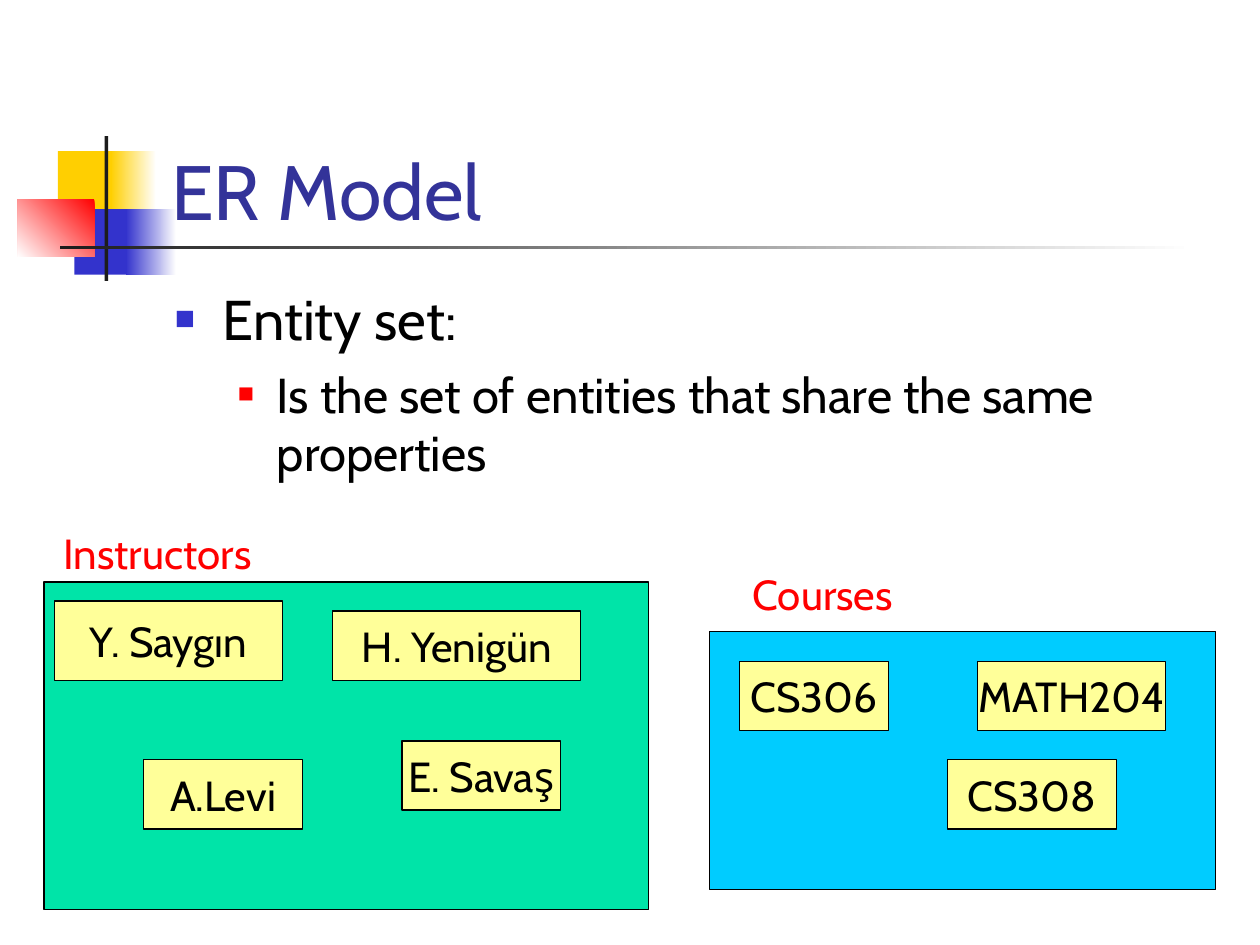
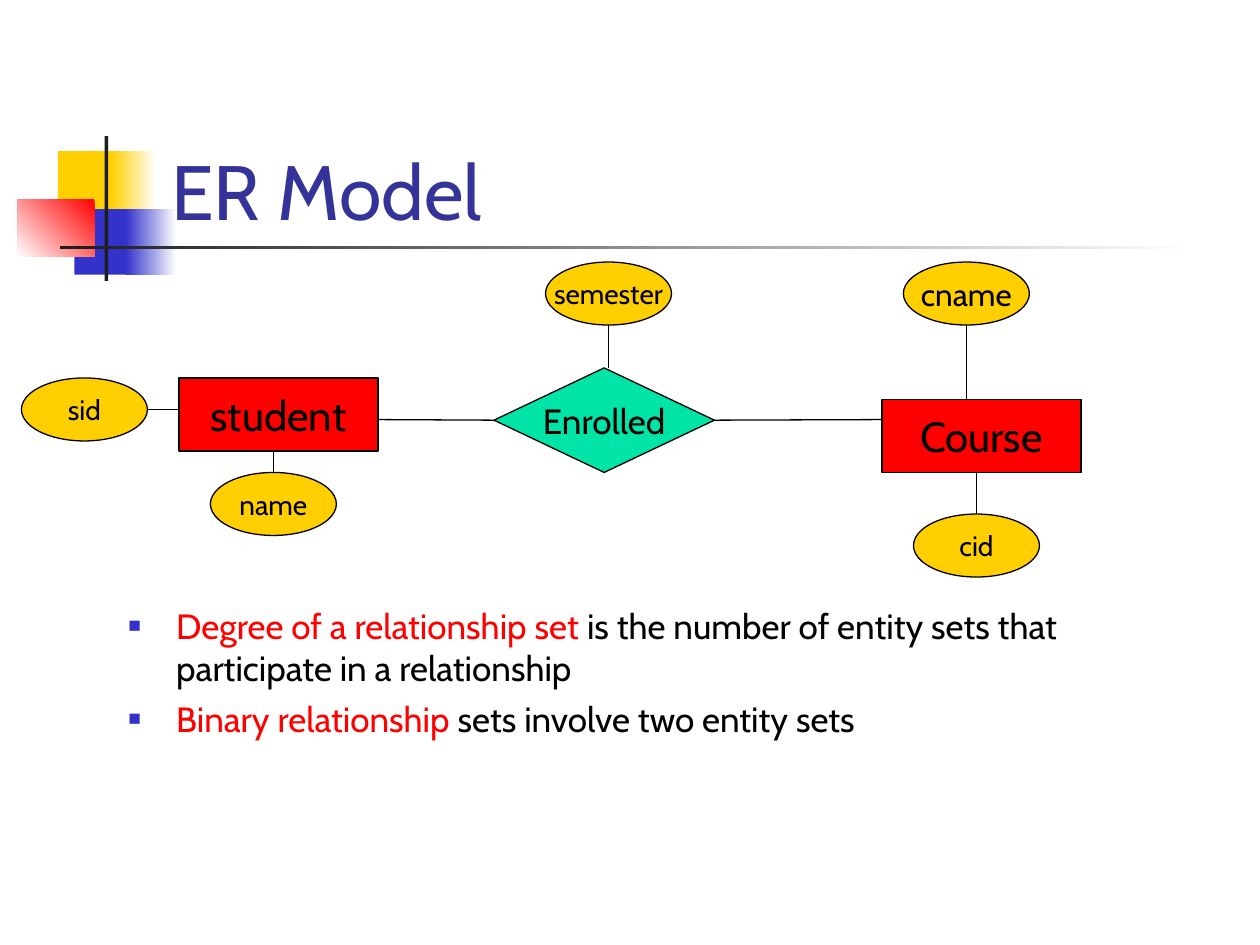
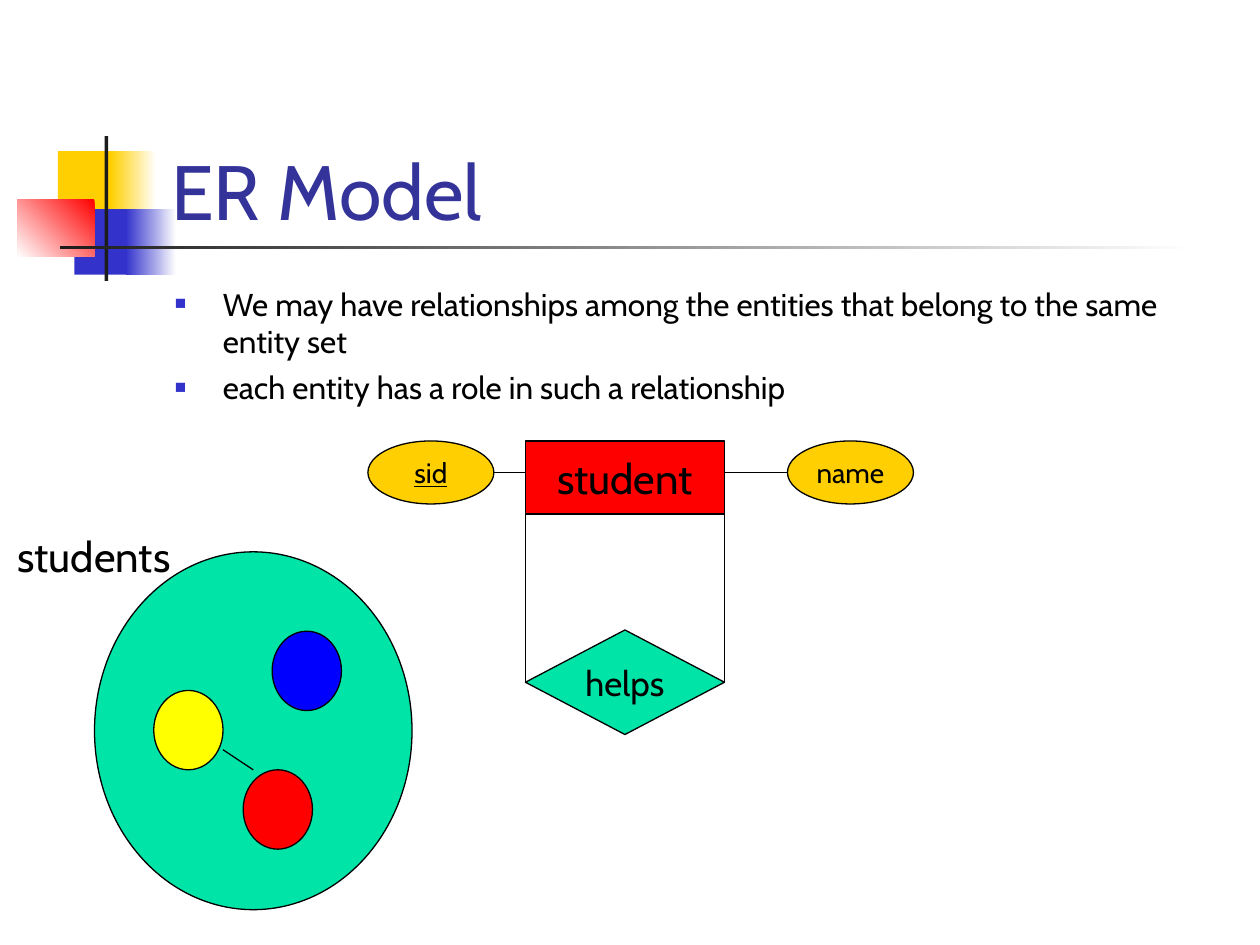
from lxml.etree import SubElement
from pptx import Presentation
from pptx.dml.color import RGBColor
from pptx.enum.shapes import MSO_CONNECTOR, MSO_SHAPE
from pptx.enum.text import MSO_ANCHOR, MSO_AUTO_SIZE, PP_ALIGN
from pptx.oxml.ns import qn
from pptx.util import Inches, Pt

BLACK = RGBColor(0x00, 0x00, 0x00)
WHITE = RGBColor(0xFF, 0xFF, 0xFF)
CHARCOAL = RGBColor(0x1C, 0x1C, 0x1C)
TITLE_BLUE = RGBColor(0x33, 0x33, 0x99)
BULLET_BLUE = RGBColor(0x33, 0x33, 0xCC)
RED = RGBColor(0xFF, 0x00, 0x00)
GOLD = RGBColor(0xFF, 0xCF, 0x01)
GREEN = RGBColor(0x00, 0xE4, 0xA8)
SKY = RGBColor(0x00, 0xCC, 0xFF)
CREAM = RGBColor(0xFF, 0xFF, 0x99)
YELLOW = RGBColor(0xFF, 0xFF, 0x00)
BLUE = RGBColor(0x00, 0x00, 0xFF)

FONT = "Cabin"
LINE_WIDTH = Pt(0.75)
TITLE_BOX = (1.26, 0.67, 8.52, 1.25)
ENTITY_SIZE = (1.58, 0.58)
ATTRIBUTE_SIZE = (1, 0.5)
STUDENT_SIZE = (0.55, 0.63)
# Per bullet level: left margin, hanging indent, bullet size in percent, bullet colour
BULLET_LEVELS = [(0.38, 0.38, 60, BULLET_BLUE), (0.81, 0.31, 55, RED)]


def inches(values):
    return [Inches(value) for value in values]


def write(paragraph, text, size, color=BLACK, underline=None):
    run = paragraph.add_run()
    run.text = text
    run.font.name = FONT
    run.font.size = Pt(size)
    run.font.color.rgb = color
    run.font.underline = underline


def add_node(slide, kind, box, fill, text="", size=24, underline=None):
    """Outlined shape with optional centred, unwrapped text."""
    node = slide.shapes.add_shape(kind, *inches(box))
    node.shadow.inherit = False
    node.fill.solid()
    node.fill.fore_color.rgb = fill
    node.line.color.rgb = BLACK
    node.line.width = LINE_WIDTH
    if text:
        frame = node.text_frame
        frame.word_wrap = False
        frame.vertical_anchor = MSO_ANCHOR.MIDDLE
        frame.paragraphs[0].alignment = PP_ALIGN.CENTER
        write(frame.paragraphs[0], text, size, underline=underline)
    return node


def add_label(slide, box, text, color=BLACK, align=PP_ALIGN.CENTER):
    frame = slide.shapes.add_textbox(*inches(box)).text_frame
    frame.word_wrap = False
    frame.paragraphs[0].alignment = align
    write(frame.paragraphs[0], text, 24, color)


def add_line(slide, start, end):
    line = slide.shapes.add_connector(MSO_CONNECTOR.STRAIGHT, *inches((*start, *end)))
    line.line.color.rgb = BLACK
    line.line.width = LINE_WIDTH
    SubElement(line._element.spPr, qn("a:effectLst"))
    return line


def set_bullet(paragraph, level):
    margin, hanging, percent, color = BULLET_LEVELS[level]
    properties = paragraph._p.get_or_add_pPr()
    properties.set("marL", str(Inches(margin)))
    properties.set("indent", str(-Inches(hanging)))
    bullet_color = SubElement(properties, qn("a:buClr"))
    SubElement(bullet_color, qn("a:srgbClr"), val=str(color))
    SubElement(properties, qn("a:buSzPct"), val=str(percent * 1000))
    SubElement(properties, qn("a:buFont"), typeface="Arial")
    SubElement(properties, qn("a:buChar"), char="■")


def add_bullets(slide, box, items):
    """Each item is (level, size, [(text, colour), ...])."""
    frame = slide.shapes.add_textbox(*inches(box)).text_frame
    frame.word_wrap = True
    for index, (level, size, parts) in enumerate(items):
        paragraph = frame.add_paragraph() if index else frame.paragraphs[0]
        set_bullet(paragraph, level)
        paragraph.level = level
        if index:
            paragraph.space_before = Pt(size / 4)
        for text, color in parts:
            write(paragraph, text, size, color)


def decorate_layout(layout, slide):
    """Draw the title ornament through a slide, then move it to the layout."""
    for placeholder in list(layout.placeholders):
        if placeholder.placeholder_format.idx:
            placeholder._element.getparent().remove(placeholder._element)
    ornament = [
        ((0.46, 1.2, 0.48, 0.52), [GOLD], 0),
        ((0.88, 1.2, 0.36, 0.52), [WHITE, GOLD], 180),
        ((0.59, 1.66, 0.46, 0.52), [BULLET_BLUE], 0),
        ((1, 1.66, 0.4, 0.52), [WHITE, BULLET_BLUE], 180),
        ((0.14, 1.58, 0.61, 0.46), [RED, WHITE], 225),
        ((0.83, 1.08, 0.03, 1.15), [CHARCOAL], 0),
        ((0.48, 1.95, 9, 0.03), [WHITE, CHARCOAL], 180),
    ]
    for position, (box, colors, angle) in enumerate(ornament):
        block = slide.shapes.add_shape(MSO_SHAPE.RECTANGLE, *inches(box))
        block.shadow.inherit = False
        block.line.fill.background()
        if len(colors) == 1:
            block.fill.solid()
            block.fill.fore_color.rgb = colors[0]
        else:
            block.fill.gradient()
            block.fill.gradient_angle = angle
            for stop, color in zip(block.fill.gradient_stops, colors):
                stop.color.rgb = color
        block._element.nvSpPr.cNvPr.set("id", str(100 + position))
        layout.shapes._spTree.insert(2 + position, block._element)


def add_title(slide, text):
    title = slide.shapes.title
    title.left, title.top, title.width, title.height = inches(TITLE_BOX)
    frame = title.text_frame
    frame.auto_size = MSO_AUTO_SIZE.NONE
    frame.vertical_anchor = MSO_ANCHOR.BOTTOM
    frame.paragraphs[0].alignment = PP_ALIGN.LEFT
    write(frame.paragraphs[0], text, 44, TITLE_BLUE)


def add_entity_set(slide, box, fill, name, name_box, members):
    """Name and members are placed from the top left of the set."""
    left, top = box[:2]
    add_node(slide, MSO_SHAPE.RECTANGLE, box, fill)
    x, y, width, height = name_box
    add_label(slide, (left + x, top + y, width, height), name, RED)
    for text, x, y, width, height in members:
        add_node(slide, MSO_SHAPE.RECTANGLE, (left + x, top + y, width, height), CREAM, text)


def add_entity(slide, left, top, text):
    add_node(slide, MSO_SHAPE.RECTANGLE, (left, top, *ENTITY_SIZE), RED, text)


def add_attribute(slide, left, top, text, direction, reach, size=16, underline=None):
    """Ellipse with a line of length reach leaving it in the (dx, dy) direction."""
    width, height = ATTRIBUTE_SIZE
    add_node(slide, MSO_SHAPE.OVAL, (left, top, width, height), GOLD, text, size, underline)
    dx, dy = direction
    x = left + width * (1 + dx) / 2
    y = top + height * (1 + dy) / 2
    add_line(slide, (x, y), (x + dx * reach, y + dy * reach))


def add_relationship(slide, box, text, left_end, right_end):
    """Diamond whose left and right corners are joined to the given points."""
    diamond = add_node(slide, MSO_SHAPE.DIAMOND, box, GREEN, text, 20)
    for site, end in ((1, left_end), (3, right_end)):
        add_line(slide, end, end).begin_connect(diamond, site)


UP, DOWN, LEFT, RIGHT = (0, -1), (0, 1), (-1, 0), (1, 0)


def add_enrolment_diagram(slide, left, top):
    add_relationship(slide, (left + 3.75, top + 0.84, 1.75, 0.83), "Enrolled",
                     (left + 2.83, top + 1.25), (left + 6.83, top + 1.25))
    add_entity(slide, left + 1.25, top + 0.92, "student")
    add_entity(slide, left + 6.83, top + 1.09, "Course")
    for x, y, text, direction, reach, size in [
        (1.5, 1.67, "name", UP, 0.17, 16),
        (4.16, 0, "semester", DOWN, 0.34, 16),
        (0, 0.92, "sid", RIGHT, 0.25, 16),
        (7.08, 2, "cid", UP, 0.33, 16),
        (7, 0, "cname", DOWN, 0.59, 18),
    ]:
        add_attribute(slide, left + x, top + y, text, direction, reach, size)


def add_helps_diagram(slide, left, top):
    width, height = ENTITY_SIZE
    student_left = left + 1.25
    add_entity(slide, student_left, top, "student")
    add_attribute(slide, left + 3.33, top, "name", LEFT, 0.5)
    add_attribute(slide, left, top, "sid", RIGHT, 0.25, underline=True)
    add_relationship(slide, (student_left, top + 1.5, width, 0.83), "helps",
                     (student_left, top + height), (student_left + width, top + height))


def add_students_set(slide, box):
    left, top = box[:2]
    add_node(slide, MSO_SHAPE.OVAL, box, GREEN)
    add_label(slide, (left - 0.71, top - 0.22, 1.56, 0.5), "students", align=PP_ALIGN.LEFT)
    for x, y, fill in [(0.47, 1.1, YELLOW), (1.18, 1.73, RED), (1.41, 0.63, BLUE)]:
        add_node(slide, MSO_SHAPE.OVAL, (left + x, top + y, *STUDENT_SIZE), fill)
    add_line(slide, (left + 1.02, top + 1.57), (left + 1.26, top + 1.73))


def build_entity_sets(slide):
    add_bullets(slide, (1.29, 2.21, 8.5, 1.86), [
        (0, 32, [("Entity set:", BLACK)]),
        (1, 28, [("Is the set of entities that share the same properties", BLACK)]),
    ])
    add_entity_set(slide, (0.35, 4.62, 4.8, 2.6), GREEN, "Instructors",
                   (-0.06, -0.48, 1.92, 0.5), [
                       ("Y. Saygın", 0.08, 0.15, 1.81, 0.63),
                       ("H. Yenigün", 2.29, 0.23, 1.97, 0.55),
                       ("A.Levi", 0.79, 1.41, 1.26, 0.55),
                       ("E. Savaş", 2.84, 1.26, 1.26, 0.55),
                   ])
    add_entity_set(slide, (5.63, 5.01, 4.02, 2.05), SKY, "Courses",
                   (0.17, -0.55, 1.46, 0.5), [
                       ("CS306", 0.24, 0.24, 1.18, 0.55),
                       ("CS308", 1.89, 1.02, 1.34, 0.55),
                       ("MATH204", 2.13, 0.24, 1.49, 0.55),
                   ])


def build_relationship_degree(slide):
    add_bullets(slide, (0.92, 4.75, 8.5, 1.46), [
        (0, 20, [("Degree of a relationship set", RED),
                 (" is the number of entity sets that participate in a relationship", BLACK)]),
        (0, 20, [("Binary relationship", RED), (" sets involve two entity sets", BLACK)]),
    ])
    add_enrolment_diagram(slide, 0.17, 2.08)


def build_roles(slide):
    add_bullets(slide, (1.29, 2.21, 8.5, 1.2), [
        (0, 18, [("We may have relationships among the entities that belong "
                  "to the same entity set", BLACK)]),
        (0, 18, [("each entity has a role in such a relationship", BLACK)]),
    ])
    add_helps_diagram(slide, 2.92, 3.5)
    add_students_set(slide, (0.75, 4.38, 2.52, 2.84))


def main():
    deck = Presentation()
    deck.slide_width, deck.slide_height = inches((10, 7.5))
    title_only = deck.slide_layouts[5]
    builders = [build_entity_sets, build_relationship_degree, build_roles]
    slides = [deck.slides.add_slide(title_only) for _ in builders]
    decorate_layout(title_only, slides[0])
    for slide, build in zip(slides, builders):
        add_title(slide, "ER Model")
        build(slide)
    deck.save("out.pptx")


if __name__ == "__main__":
    main()
